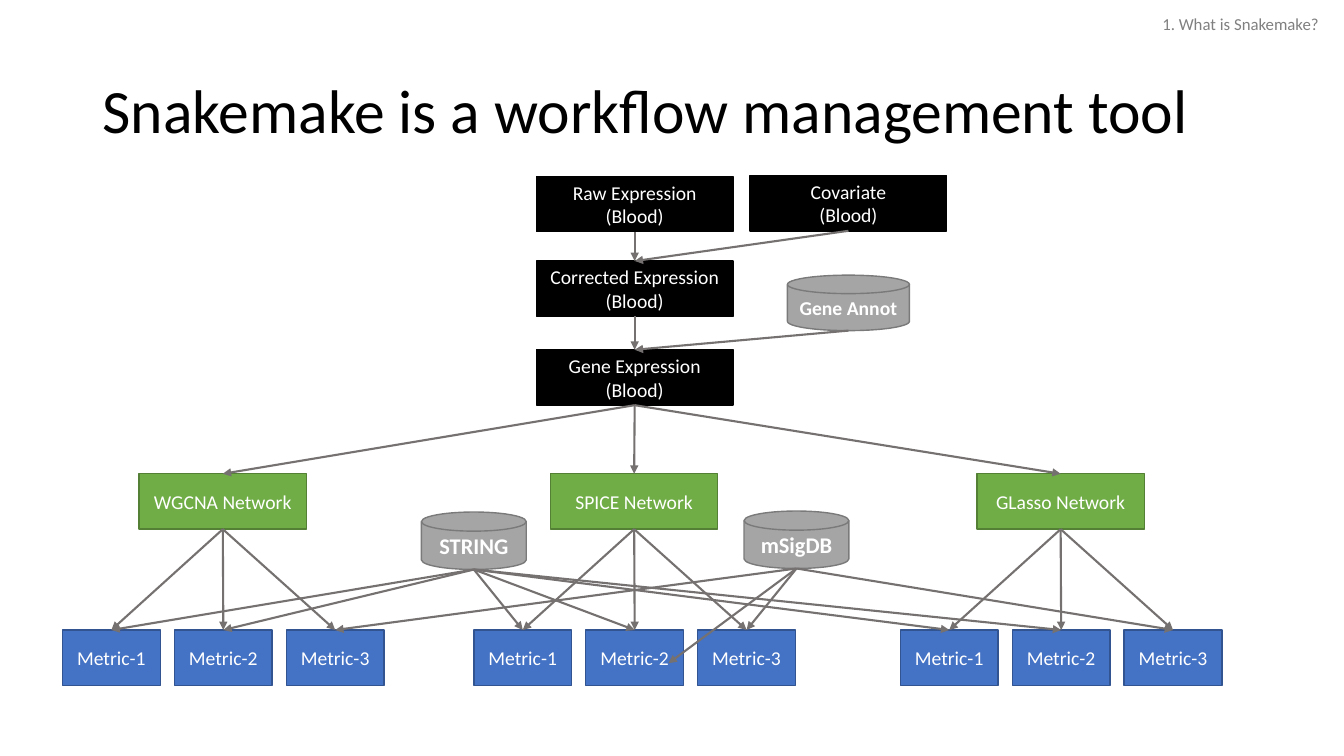
from dataclasses import dataclass

from lxml import etree
from pptx import Presentation
from pptx import util as u
from pptx.dml.color import RGBColor
from pptx.enum import shapes, text
from pptx.oxml import ns

PX = 9144  # EMU per px, 100 px to the inch


@dataclass(frozen=True)
class Theme:
    font: str = "Calibri"
    ink: str = "000000"
    paper: str = "FFFFFF"
    note: str = "808080"
    wire: str = "767171"
    data: tuple = ("000000", "000000")  # fill, line
    net: tuple = ("70AD47", "538035")
    metric: tuple = ("4472C4", "325491")
    store: tuple = ("A5A5A5", "7A7A7A")
    title: int = 44
    large: int = 16
    body: int = 14
    small: int = 12


class Sketch:
    def __init__(self, slide, theme):
        self.slide = slide
        self.theme = theme

    def style(self, frame, size, color, bold=False, align=None):
        for para in frame.paragraphs:
            para.alignment = align
            for run in para.runs:
                font = run.font
                font.name = self.theme.font
                font.size = u.Pt(size)
                font.bold = bold
                font.color.rgb = RGBColor.from_string(color)

    def label(self, words, left, top, width, height, size, color, wrap=True):
        box = self.slide.shapes.add_textbox(
            left * PX, top * PX, width * PX, height * PX)
        frame = box.text_frame
        frame.text = words
        frame.word_wrap = wrap
        self.style(frame, size, color)
        return frame

    def node(self, kind, words, mid, top, width, height, paint, size, bold=False):
        """Filled shape, centred on the x position mid."""
        item = self.slide.shapes.add_shape(
            kind, (mid - width // 2) * PX, top * PX, width * PX, height * PX)
        fill, edge = paint
        item.shadow.inherit = False
        item.fill.solid()
        item.fill.fore_color.rgb = RGBColor.from_string(fill)
        item.line.color.rgb = RGBColor.from_string(edge)
        item.line.width = u.Pt(1)
        frame = item.text_frame
        frame.text = words
        frame.word_wrap = True
        frame.vertical_anchor = text.MSO_ANCHOR.MIDDLE
        self.style(frame, size, self.theme.paper, bold, text.PP_ALIGN.CENTER)
        return item

    def box(self, words, mid, top, width, paint):
        return self.node(shapes.MSO_SHAPE.RECTANGLE, words, mid, top, width, 55,
                         paint, self.theme.body)

    def disk(self, words, mid, top, width, height, size):
        return self.node(shapes.MSO_SHAPE.FLOWCHART_MAGNETIC_DISK, words, mid, top,
                         width, height, self.theme.store, size, True)

    def arrow(self, start, end):
        """Arrow from the bottom of start to a box top or an (x, y) point."""
        x, y = start.left + start.width // 2, start.top + start.height
        point = isinstance(end, tuple)
        tip = (end[0] * PX, end[1] * PX) if point else (
            end.left + end.width // 2, end.top)
        wire = self.slide.shapes.add_connector(
            shapes.MSO_CONNECTOR.STRAIGHT, x, y, *tip)
        if start.auto_shape_type == shapes.MSO_SHAPE.RECTANGLE:
            wire.begin_connect(start, 2)
        if not point:
            wire.end_connect(end, 0)
        wire.line.color.rgb = RGBColor.from_string(self.theme.wire)
        wire.line.width = u.Pt(1.5)
        etree.SubElement(wire.line._get_or_add_ln(), ns.qn("a:tailEnd"), type="triangle")
        etree.SubElement(wire._element.spPr, ns.qn("a:effectLst"))


def main():
    deck = Presentation()
    deck.slide_width, deck.slide_height = u.Inches(13.33), u.Inches(7.5)
    theme = Theme()
    art = Sketch(deck.slides.add_slide(deck.slide_layouts[6]), theme)

    # Title and section label
    title = art.label("Snakemake is a workflow management tool",
                      92, 40, 1150, 145, theme.title, theme.ink)
    title.vertical_anchor = text.MSO_ANCHOR.MIDDLE
    title.paragraphs[0].line_spacing = 0.9
    art.label("1. What is Snakemake?", 1143, 9, 177, 30,
              theme.small, theme.note, wrap=False)

    # Expression data
    main_x, side_x = 629, 841
    raw = art.box("Raw Expression (Blood)", main_x, 175, 195, theme.data)
    covar = art.box("Covariate\n(Blood)", side_x, 174, 195, theme.data)
    fixed = art.box("Corrected Expression (Blood)", main_x, 259, 195, theme.data)
    gene = art.box("Gene Expression (Blood)", main_x, 347, 195, theme.data)
    annot = art.disk("Gene Annot", side_x, 273, 121, 55, theme.body)
    for start, end in ((raw, fixed), (covar, fixed), (fixed, gene), (annot, gene)):
        art.arrow(start, end)

    # Networks, each with three metrics
    grid = {}
    for name, mid in (("WGCNA", 221), ("SPICE", main_x), ("GLasso", 1052)):
        net = art.box(f"{name} Network", mid, 470, 166, theme.net)
        art.arrow(gene, net)
        for num in (1, 2, 3):
            metric = art.box(f"Metric-{num}", mid + (num - 2) * 111, 625, 97,
                             theme.metric)
            art.arrow(net, metric)
            grid[name, num] = metric

    # Reference databases that feed the metrics
    string = art.disk("STRING", 470, 508, 104, 57, theme.large)
    sig = art.disk("mSigDB", 790, 507, 104, 57, theme.large)
    for (name, num), metric in grid.items():
        art.arrow(sig if num == 3 else string, metric)
    art.arrow(sig, (663, 658))

    deck.save("out.pptx")


if __name__ == "__main__":
    main()
